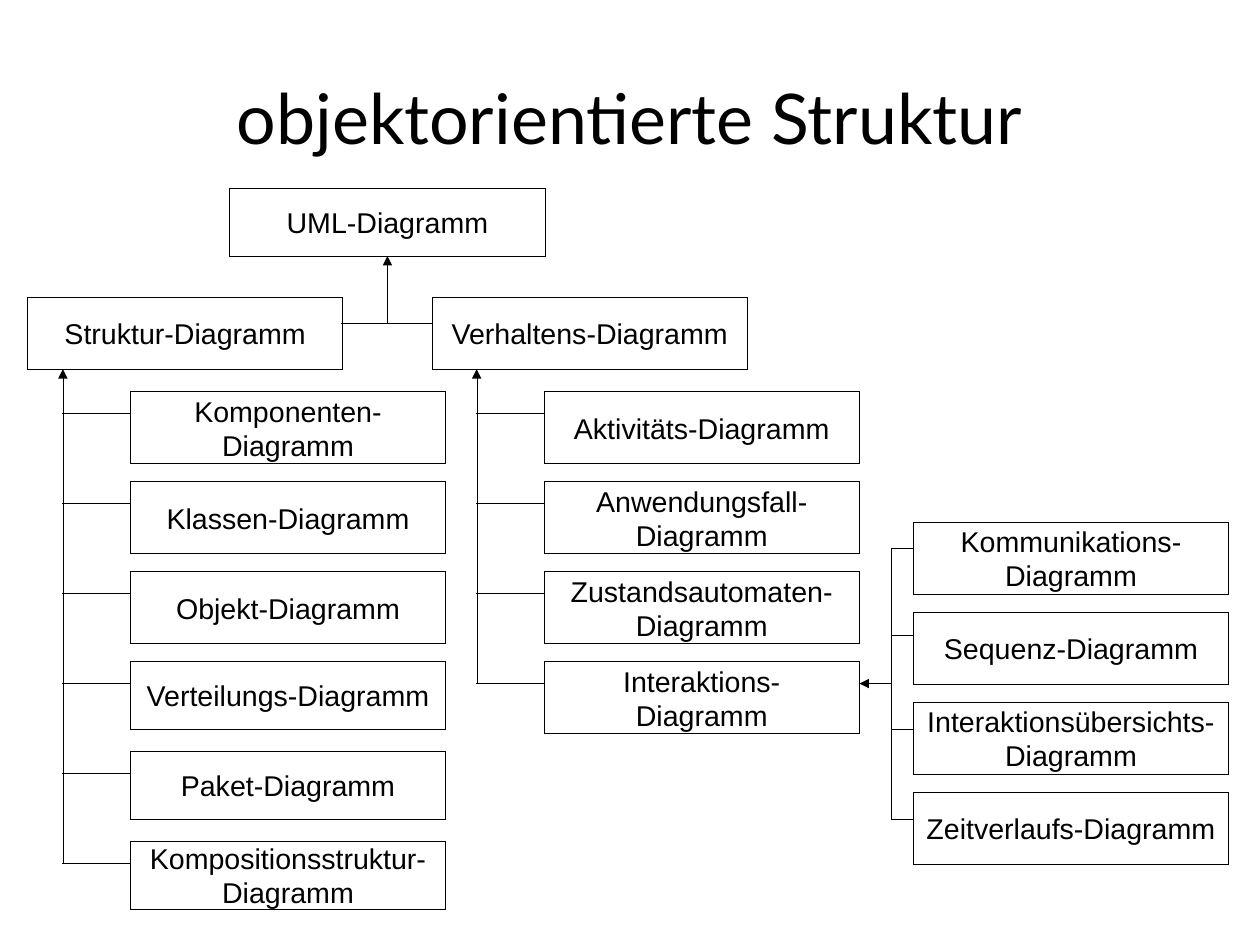
from lxml.etree import SubElement
from pptx import Presentation
from pptx.dml.color import RGBColor
from pptx.enum.shapes import MSO_CONNECTOR, MSO_SHAPE
from pptx.enum.text import MSO_ANCHOR, PP_ALIGN
from pptx.oxml.ns import qn
from pptx.util import Inches, Pt

BLACK, WHITE = "000000", "FFFFFF"
SLIDE_WIDTH, SLIDE_HEIGHT = 28 / 2.54, 21 / 2.54
BOX_WIDTH, LOW, HIGH = 2.76, 0.59, 0.63
PITCH = 2.36 / 3

TITLE = "objektorientierte Struktur"
UPPER_LEVELS = [
    ("UML-Diagramm", 2.01, 1.65, LOW),
    ("Struktur-Diagramm", 0.24, 2.6, HIGH),
    ("Verhaltens-Diagramm", 3.78, 2.6, HIGH),
]
FAMILIES = [
    {
        "left": 1.14, "top": 3.43, "trunk": 0.55,
        "members": [
            ("Komponenten-\nDiagramm", HIGH, 0.19),
            ("Klassen-Diagramm", HIGH, 0.19),
            ("Objekt-Diagramm", HIGH, 0.19),
            ("Verteilungs-Diagramm", LOW, 0.19),
            ("Paket-Diagramm", LOW, 0.19),
            ("Kompositionsstruktur-\nDiagramm", LOW, 0.19),
        ],
    },
    {
        "left": 4.76, "top": 3.43, "trunk": 4.17,
        "members": [
            ("Aktivitäts-Diagramm", HIGH, 0.19),
            ("Anwendungsfall-\nDiagramm", HIGH, 0.19),
            ("Zustandsautomaten-\nDiagramm", HIGH, 0.19),
            ("Interaktions-\nDiagramm", HIGH, 0.19),
        ],
    },
    {
        "left": 7.99, "top": 4.57, "trunk": 7.8, "parent": (7.52, 5.98),
        "members": [
            ("Kommunikations-\nDiagramm", HIGH, 0.23),
            ("Sequenz-Diagramm", HIGH, 0.2),
            ("Interaktionsübersichts-\nDiagramm", HIGH, 0.24),
            ("Zeitverlaufs-Diagramm", HIGH, 0.24),
        ],
    },
]


def color(hex_value):
    return RGBColor.from_string(hex_value)


def write(frame, text, font, size):
    frame.vertical_anchor = MSO_ANCHOR.MIDDLE
    for i, line in enumerate(text.split("\n")):
        paragraph = frame.add_paragraph() if i else frame.paragraphs[0]
        paragraph.alignment = PP_ALIGN.CENTER
        run = paragraph.add_run()
        run.text = line
        run.font.name = font
        run.font.size = Pt(size)
        run.font.color.rgb = color(BLACK)


def draw_hairline(part):
    part.line.color.rgb = color(BLACK)
    outline = part._element.spPr.get_or_add_ln()
    outline.set("w", "0")
    return outline


def add_box(slide, text, left, top, height):
    box = slide.shapes.add_shape(
        MSO_SHAPE.RECTANGLE, Inches(left), Inches(top), Inches(BOX_WIDTH), Inches(height))
    box.shadow.inherit = False
    box.fill.solid()
    box.fill.fore_color.rgb = color(WHITE)
    draw_hairline(box)
    box.text_frame.word_wrap = False
    write(box.text_frame, text, "Arial", 18)


def add_link(slide, start, end, arrow=False):
    link = slide.shapes.add_connector(
        MSO_CONNECTOR.STRAIGHT, *(Inches(value) for value in (*start, *end)))
    outline = draw_hairline(link)
    if arrow:
        SubElement(outline, qn("a:tailEnd"), type="triangle")
    SubElement(link._element.spPr, qn("a:effectLst"))


def add_family(slide, family):
    left, trunk = family["left"], family["trunk"]
    branches = []
    for i, (text, height, offset) in enumerate(family["members"]):
        top = family["top"] + i * PITCH
        add_box(slide, text, left, top, height)
        branches.append(top + offset)
    if "parent" in family:
        parent = family["parent"]
        add_link(slide, (trunk, parent[1]), parent, arrow=True)
        add_link(slide, (trunk, branches[0]), (trunk, branches[-1]))
    else:
        add_link(slide, (trunk, branches[-1]), (trunk, 3.23), arrow=True)
    for y in branches:
        add_link(slide, (left, y), (trunk, y))


def main():
    deck = Presentation()
    deck.slide_width, deck.slide_height = Inches(SLIDE_WIDTH), Inches(SLIDE_HEIGHT)
    slide = deck.slides.add_slide(deck.slide_layouts[6])

    heading = slide.shapes.add_textbox(Inches(0.55), Inches(0.33), Inches(9.92), Inches(1.38))
    frame = heading.text_frame
    frame.word_wrap = True
    frame.margin_left = frame.margin_right = frame.margin_top = frame.margin_bottom = 0
    write(frame, TITLE, "Lato", 44)

    for text, left, top, height in UPPER_LEVELS:
        add_box(slide, text, left, top, height)
    add_link(slide, (3.39, 2.83), (3.39, 2.24), arrow=True)
    add_link(slide, (2.99, 2.83), (3.78, 2.83))
    for family in FAMILIES:
        add_family(slide, family)

    deck.save("out.pptx")


if __name__ == "__main__":
    main()
